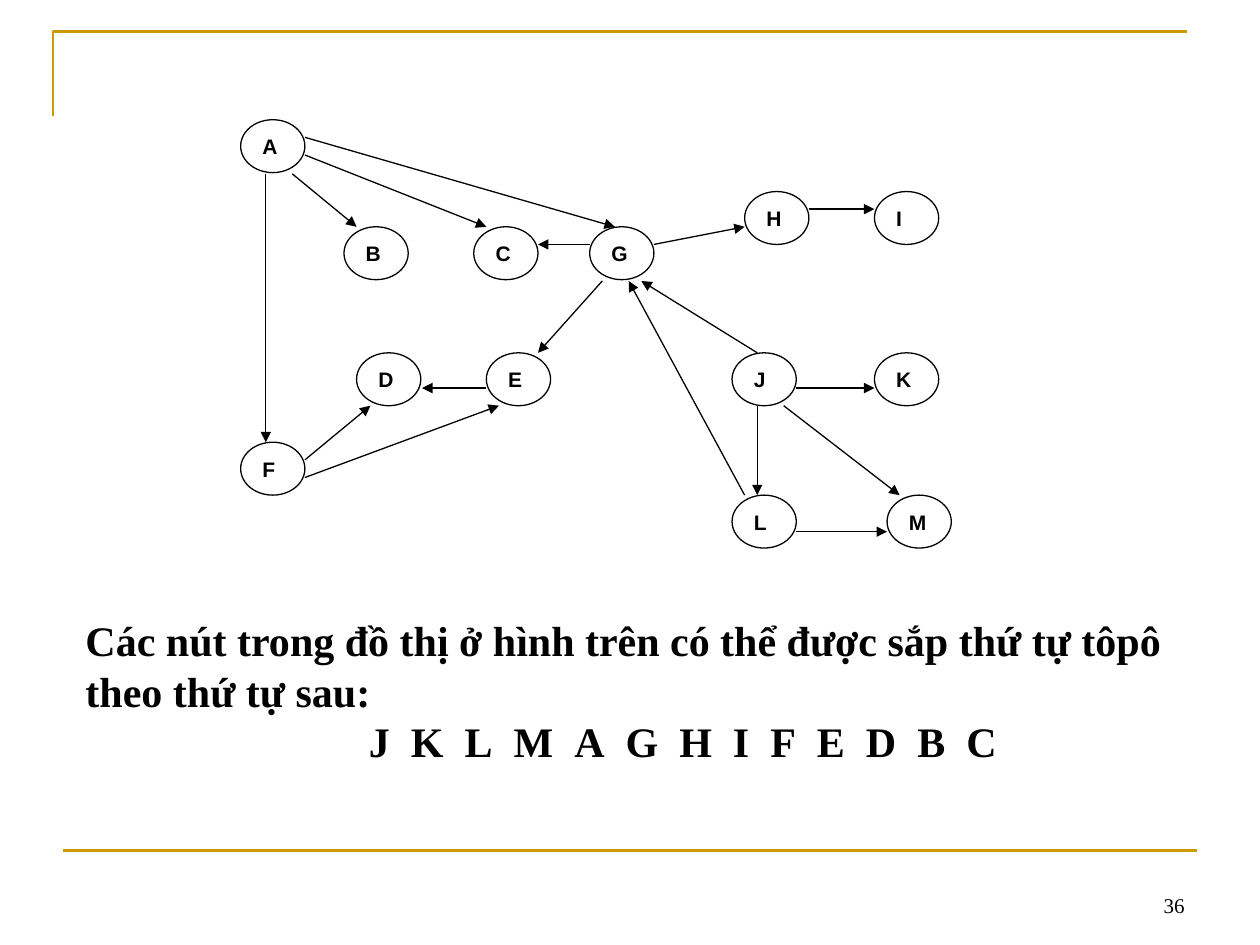
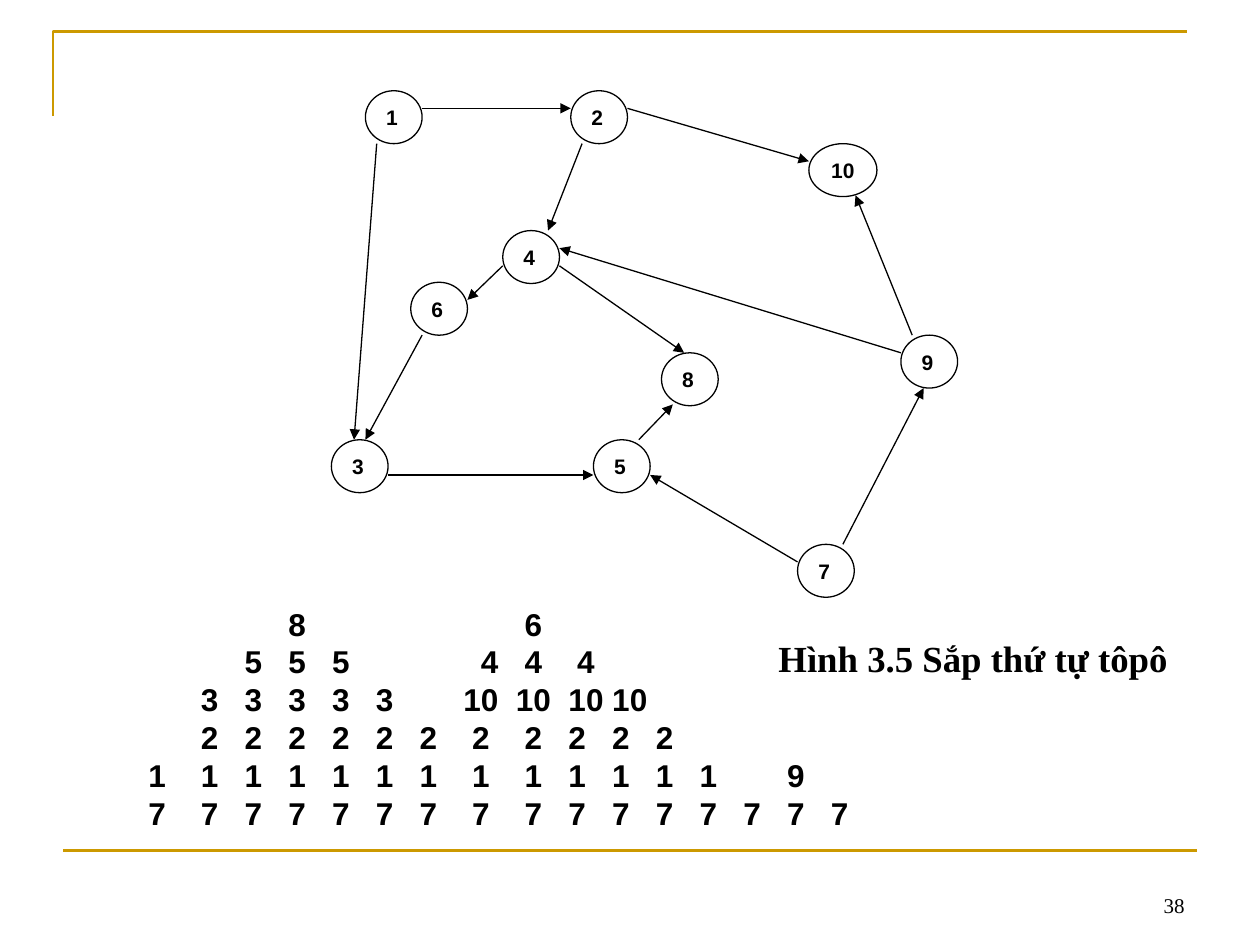
from itertools import accumulate

from lxml.etree import SubElement
from pptx import Presentation
from pptx.dml.color import RGBColor
from pptx.enum.shapes import MSO_CONNECTOR, MSO_SHAPE
from pptx.enum.text import MSO_ANCHOR, PP_ALIGN
from pptx.oxml.ns import qn
from pptx.util import Inches, Pt

GOLD, BLACK = "CC9900", "000000"
SERIF, SANS = "Times New Roman", "Arial"


def color(hex_code):
    return RGBColor.from_string(hex_code)


def write(paragraph, text, font=SANS, size=12, bold=True, align=PP_ALIGN.LEFT, stops=()):
    """Fill a paragraph; stops are tab positions in points."""
    paragraph.alignment = align
    run = paragraph.add_run()
    run.text = text
    run.font.name, run.font.size, run.font.bold = font, Pt(size), bold
    run.font.color.rgb = color(BLACK)
    if stops:
        tab_list = SubElement(paragraph._p.get_or_add_pPr(), qn("a:tabLst"))
        for stop in stops:
            SubElement(tab_list, qn("a:tab"), pos=str(int(Pt(stop))), algn="l")


class GraphDeck:
    """Holds the shared style and the slide being built."""

    def __init__(self):
        self.deck = Presentation()
        self.deck.slide_width, self.deck.slide_height = Inches(10), Inches(7.5)
        self.slide = None

    def new_slide(self, number):
        self.slide = self.deck.slides.add_slide(self.deck.slide_layouts[6])
        # Corner frame and bottom rule
        builder = self.slide.shapes.build_freeform(Inches(0.42), Inches(0.92))
        builder.add_line_segments(
            [(Inches(0.42), Inches(0.25)), (Inches(9.42), Inches(0.25))], close=False)
        corner = builder.convert_to_shape()
        corner.shadow.inherit = False
        corner.fill.background()
        self.stroke(corner, GOLD, 1.5)
        self.line(0.5, 6.75, 9.5, 6.75, GOLD, 1.5)
        # Page number
        page = self.text_box(7.17, 6.83, 2.33, 0.5, MSO_ANCHOR.BOTTOM)
        write(page.paragraphs[0], number, font=SERIF, bold=False, align=PP_ALIGN.RIGHT)

    def stroke(self, shape, hex_code, width):
        shape.line.color.rgb = color(hex_code)
        shape.line.width = Pt(width)

    def line(self, x1, y1, x2, y2, hex_code=BLACK, width=0.75):
        connector = self.slide.shapes.add_connector(
            MSO_CONNECTOR.STRAIGHT, Inches(x1), Inches(y1), Inches(x2), Inches(y2))
        self.stroke(connector, hex_code, width)
        SubElement(connector._element.spPr, qn("a:effectLst"))
        return connector

    def arrow(self, *ends):
        outline = self.line(*ends).line._get_or_add_ln()
        SubElement(outline, qn("a:tailEnd"), type="triangle")

    def node(self, label, x, y, width, height=0.42):
        oval = self.slide.shapes.add_shape(
            MSO_SHAPE.OVAL, Inches(x), Inches(y), Inches(width), Inches(height))
        oval.shadow.inherit = False
        oval.fill.background()
        self.stroke(oval, BLACK, 0.75)
        frame = oval.text_frame
        frame.word_wrap = True
        frame.vertical_anchor = MSO_ANCHOR.TOP
        frame.margin_right = Inches(0.05)
        write(frame.paragraphs[0], label)

    def graph(self, nodes, edges, width):
        for label, (x, y) in nodes.items():
            self.node(label, x, y, width if len(label) == 1 else width + 0.09)
        for edge in edges:
            self.arrow(*edge)

    def text_box(self, x, y, width, height, anchor=MSO_ANCHOR.TOP):
        frame = self.slide.shapes.add_textbox(
            Inches(x), Inches(y), Inches(width), Inches(height)).text_frame
        frame.word_wrap = True
        frame.vertical_anchor = anchor
        return frame


# Lettered graph: node corners and arrows (from x, y to x, y)
LETTER_NODES = {
    "A": (1.91, 0.95), "B": (2.73, 1.8), "G": (4.68, 1.8), "C": (3.76, 1.8),
    "F": (1.91, 3.51), "D": (2.83, 2.8), "E": (3.86, 2.8), "L": (5.81, 3.93),
    "M": (7.04, 3.93), "K": (6.94, 2.8), "J": (5.81, 2.8), "I": (6.94, 1.52),
    "H": (5.91, 1.52),
}
LETTER_EDGES = [
    (2.11, 1.38, 2.11, 3.51), (2.32, 1.38, 2.83, 1.8), (2.42, 1.23, 3.86, 1.8),
    (2.42, 1.09, 4.88, 1.8), (2.42, 3.65, 2.94, 3.22), (3.86, 3.08, 3.35, 3.08),
    (2.42, 3.79, 3.96, 3.22), (4.78, 2.23, 4.27, 2.8), (6.32, 3.08, 6.94, 3.08),
    (6.01, 3.22, 6.01, 3.93), (6.22, 3.22, 7.14, 3.93), (4.68, 1.94, 4.27, 1.94),
    (6.01, 2.8, 5.09, 2.23), (5.91, 3.93, 4.99, 2.23), (6.42, 1.66, 6.94, 1.66),
    (6.32, 4.22, 7.04, 4.22), (5.19, 1.94, 5.91, 1.8),
]
# Sorted letters with their widths in points, set 12 points apart
SORTED_LETTERS = {
    "J": 12, "K": 18.67, "L": 16, "M": 22.67, "A": 17.33, "G": 18.67, "H": 18.67,
    "I": 9.33, "F": 14.67, "E": 16, "D": 17.33, "B": 16, "C": 17.33,
}

# Numbered graph
NUMBER_NODES = {
    "1": (2.9, 0.72), "6": (3.26, 2.24), "3": (2.63, 3.49), "2": (4.53, 0.72),
    "10": (6.42, 1.14), "4": (3.99, 1.83), "8": (5.25, 2.8), "5": (4.71, 3.49),
    "9": (7.15, 2.66), "7": (6.33, 4.32),
}
NUMBER_EDGES = [
    (3.35, 0.86, 4.53, 0.86), (4.98, 0.86, 6.42, 1.28), (4.62, 1.14, 4.35, 1.83),
    (3.99, 2.11, 3.71, 2.38), (2.99, 1.14, 2.81, 3.49), (3.35, 2.66, 2.9, 3.49),
    (4.44, 2.11, 5.43, 2.8), (7.15, 2.8, 4.44, 1.97), (5.07, 3.49, 5.34, 3.21),
    (3.08, 3.77, 4.71, 3.77), (6.33, 4.46, 5.16, 3.77), (6.69, 4.32, 7.33, 3.08),
    (7.24, 2.66, 6.79, 1.55),
]
# Stack states: column offsets in points, then each level as (label, offsets)
STEPS = list(accumulate([0, 30] + [25] * 5 + [30] * 2 + [25] * 7))
STACK_LEVELS = [
    [("8", STEPS[3:4]), ("6", STEPS[8:9])],
    [("5", STEPS[2:5]), ("4", [190, 215, 245])],
    [("3", STEPS[1:6]), ("10", [180, 210, 240, 265])],
    [("2", STEPS[1:12])],
    [("1", STEPS[:13]), ("9", STEPS[14:15])],
    [("7", STEPS)],
]


def build_letter_slide(deck):
    deck.new_slide("36")
    deck.graph(LETTER_NODES, LETTER_EDGES, 0.51)
    # Topological order
    order = deck.text_box(0.58, 4.83, 8.92, 1.3)
    write(order.paragraphs[0],
          "Các nút trong đồ thị ở hình trên có thể được sắp thứ tự tôpô theo thứ tự sau:",
          font=SERIF, size=24)
    advances = [width + 12 for width in SORTED_LETTERS.values()]
    write(order.add_paragraph(), "\t" + "\t".join(SORTED_LETTERS), font=SERIF, size=24,
          stops=list(accumulate([162] + advances[:-1])))


def build_number_slide(deck):
    deck.new_slide("38")
    deck.graph(NUMBER_NODES, NUMBER_EDGES, 0.45)
    # Stack states, one line per level
    stack = deck.text_box(1.08, 4.75, 7.25, 1.9)
    for index, level in enumerate(STACK_LEVELS):
        cells = [(offset, label) for label, offsets in level for offset in offsets]
        text = "".join(("\t" if offset else "") + label for offset, label in cells)
        paragraph = stack.add_paragraph() if index else stack.paragraphs[0]
        write(paragraph, text, size=18, stops=[offset for offset, _ in cells if offset])
    # Caption
    caption = deck.text_box(6.08, 5, 3.58, 0.45)
    write(caption.paragraphs[0], "Hình 3.5 Sắp thứ tự tôpô", font=SERIF, size=21)


def main():
    graph_deck = GraphDeck()
    build_letter_slide(graph_deck)
    build_number_slide(graph_deck)
    graph_deck.deck.save("out.pptx")


if __name__ == "__main__":
    main()
